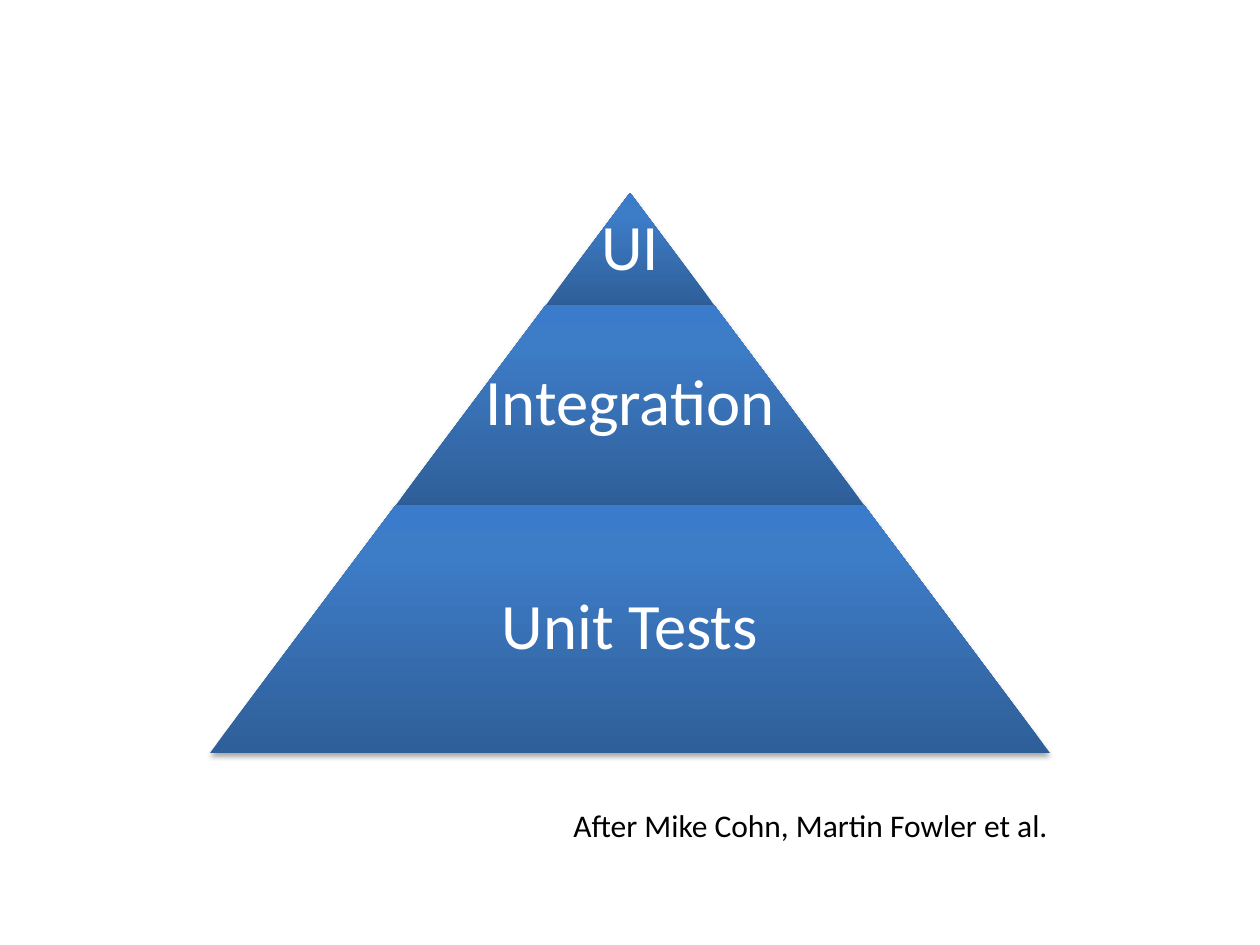
from dataclasses import dataclass

from lxml.etree import SubElement
from pptx import Presentation
from pptx.dml.color import RGBColor
from pptx.enum.shapes import MSO_SHAPE as Shape
from pptx.enum.text import MSO_ANCHOR as Anchor, MSO_AUTO_SIZE as AutoSize, PP_ALIGN as Align
from pptx.oxml.ns import qn
from pptx.util import Emu, Pt

EMU_PER_PX = 914400 / 126
SLIDE_W, SLIDE_H = 1260, 945
APEX_X, APEX_Y = 630, 193
SLOPE = 0.75  # horizontal run of each side per unit of height

# label, height in px, share of the tier width given to the label
TIERS = [("UI", 112, 1), ("Integration", 200, 0.65), ("Unit Tests", 248, 0.65)]


@dataclass(frozen=True)
class Theme:
    font: str = "Calibri"
    label_size: int = 37
    credit_size: int = 18
    label_color: str = "FFFFFF"
    credit_color: str = "000000"
    shadow_color: str = "000000"
    tier_stops: tuple = ((0, "2F5F99"), (80, "3D7CC7"), (100, "3A7CCB"))


THEME = Theme()


def px(length):
    return Emu(round(length * EMU_PER_PX))


def add_text(slide, text, left, top, width, height, *, size, color,
             align=Align.LEFT, anchor=Anchor.TOP, inset=None, line_spacing=None,
             auto_size=AutoSize.NONE):
    box = slide.shapes.add_textbox(px(left), px(top), px(width), px(height))
    frame = box.text_frame
    frame.word_wrap = True
    frame.auto_size = auto_size
    frame.vertical_anchor = anchor
    if inset is not None:
        frame.margin_left = frame.margin_right = px(inset)
        frame.margin_top = frame.margin_bottom = px(inset)
    paragraph = frame.paragraphs[0]
    paragraph.alignment = align
    paragraph.line_spacing = line_spacing
    run = paragraph.add_run()
    run.text = text
    run.font.name = THEME.font
    run.font.size = Pt(size)
    run.font.color.rgb = RGBColor.from_string(color)


def fill_gradient(shape, stops):
    """Fill from bottom to top with (percent, colour) stops."""
    shape.fill.gradient()
    shape.fill.gradient_angle = 90
    stop_list = shape._element.spPr.find(qn("a:gradFill")).find(qn("a:gsLst"))
    for old_stop in list(stop_list):
        stop_list.remove(old_stop)
    for percent, color in stops:
        stop = SubElement(stop_list, qn("a:gs"), pos=str(percent * 1000))
        SubElement(stop, qn("a:srgbClr"), val=color)


def add_drop_shadow(shape, color, blur=3.1, distance=1.8, opacity=35):
    shape.shadow.inherit = False
    effects = shape._element.spPr.find(qn("a:effectLst"))
    shadow = SubElement(effects, qn("a:outerShdw"), blurRad=str(Pt(blur)),
                        dist=str(Pt(distance)), dir="5400000", rotWithShape="0")
    tint = SubElement(shadow, qn("a:srgbClr"), val=color)
    SubElement(tint, qn("a:alpha"), val=str(opacity * 1000))


def add_tier(slide, label, top, height, label_share):
    """Add one slice of the pyramid; its width follows from its depth."""
    width = 2 * SLOPE * (top + height - APEX_Y)
    tier = slide.shapes.add_shape(Shape.TRAPEZOID, px(APEX_X - width / 2), px(top),
                                  px(width), px(height))
    tier.adjustments[0] = SLOPE
    fill_gradient(tier, THEME.tier_stops)
    tier.line.fill.background()
    add_drop_shadow(tier, THEME.shadow_color)

    label_width = width * label_share
    add_text(slide, label, APEX_X - label_width / 2, top, label_width, height,
             size=THEME.label_size, color=THEME.label_color, align=Align.CENTER,
             anchor=Anchor.MIDDLE, inset=6, line_spacing=0.9)


def main():
    prs = Presentation()
    prs.slide_width, prs.slide_height = px(SLIDE_W), px(SLIDE_H)
    slide = prs.slides.add_slide(prs.slide_layouts[6])

    top = APEX_Y
    for label, height, label_share in TIERS:
        add_tier(slide, label, top, height, label_share)
        top += height

    add_text(slide, "After Mike Cohn, Martin Fowler et al.", 561, 800, 525, 50,
             size=THEME.credit_size, color=THEME.credit_color,
             auto_size=AutoSize.SHAPE_TO_FIT_TEXT)
    prs.save("out.pptx")


if __name__ == "__main__":
    main()
